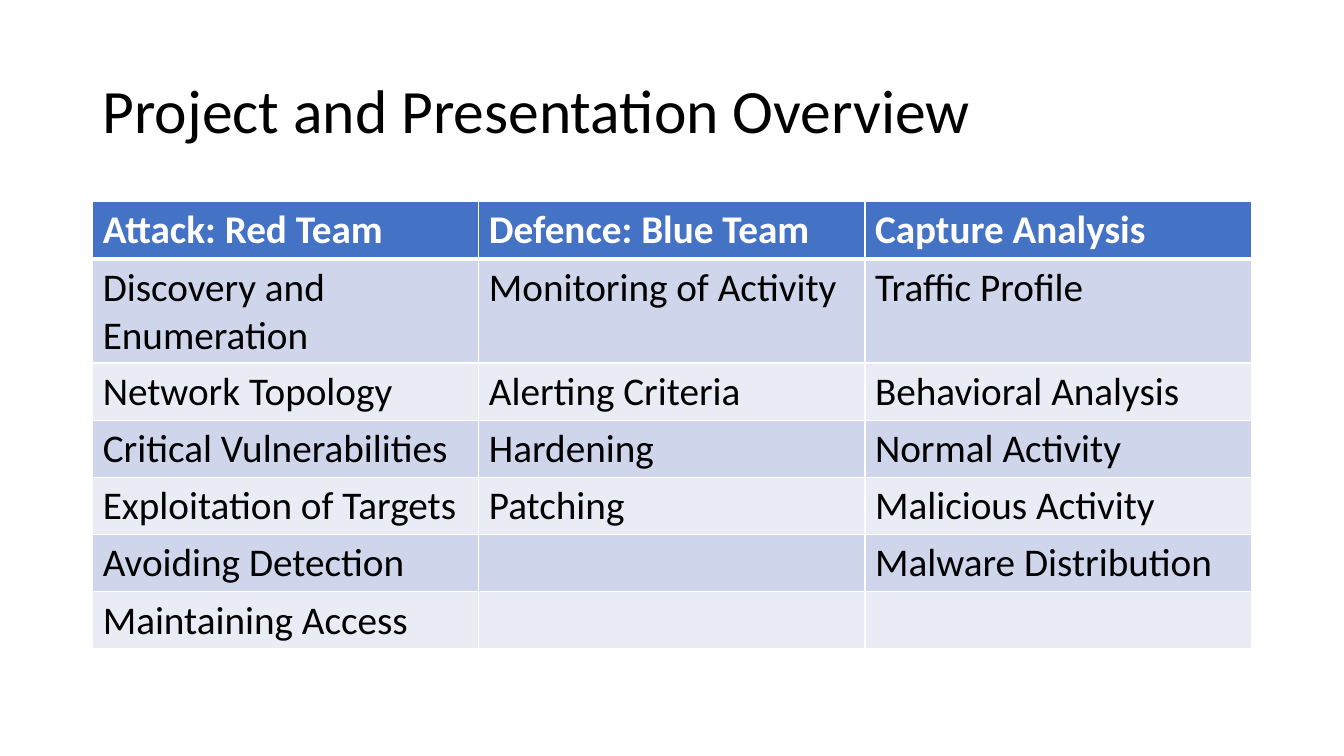
from lxml import etree
from pptx import Presentation
from pptx import util as u
from pptx.dml.color import RGBColor
from pptx.enum import text
from pptx.oxml import ns

THEME = {
    "font": "Calibri",
    "title_size": 44,
    "cell_size": 28,
    "ink": "000000",
    "paper": "FFFFFF",
    "header": "4472C4",
    "bands": ("CFD5EA", "E9EBF5"),
    "rule": 1,
    "header_rule": 3,
}

TOPICS = [
    ("Attack: Red Team", "Defence: Blue Team", "Capture Analysis"),
    ("Discovery and Enumeration", "Monitoring of Activity", "Traffic Profile"),
    ("Network Topology", "Alerting Criteria", "Behavioral Analysis"),
    ("Critical Vulnerabilities", "Hardening", "Normal Activity"),
    ("Exploitation of Targets", "Patching", "Malicious Activity"),
    ("Avoiding Detection", "", "Malware Distribution"),
    ("Maintaining Access", "", ""),
]


def write(frame, words, size, color, bold=False, spacing=None):
    paragraph = frame.paragraphs[0]
    paragraph.line_spacing = spacing
    run = paragraph.add_run()
    run.text = words
    run.font.name = THEME["font"]
    run.font.size = u.Pt(size)
    run.font.bold = bold
    run.font.color.rgb = RGBColor.from_string(color)


def rule(cell, side, points):
    line = etree.SubElement(cell._tc.get_or_add_tcPr(), ns.qn(f"a:ln{side}"), w=str(u.Pt(points)))
    fill = etree.SubElement(line, ns.qn("a:solidFill"))
    etree.SubElement(fill, ns.qn("a:srgbClr"), val=THEME["paper"])


deck = Presentation()
deck.slide_width, deck.slide_height = u.Inches(13.333), u.Inches(7.5)
overview = deck.slides.add_slide(deck.slide_layouts[6])

left = u.Inches(0.92)
width = deck.slide_width - 2 * left

title = overview.shapes.add_textbox(left, u.Inches(0.4), width, u.Inches(1.46)).text_frame
title.word_wrap = True
title.vertical_anchor = text.MSO_ANCHOR.MIDDLE
write(title, "Project and Presentation Overview", THEME["title_size"], THEME["ink"], spacing=0.9)

row_height = u.Inches(0.41)
teams = overview.shapes.add_table(
    len(TOPICS), len(TOPICS[0]), left, u.Inches(2), width, row_height * len(TOPICS)
).table

for r, topics in enumerate(TOPICS):
    is_header = r == 0
    for c, topic in enumerate(topics):
        cell = teams.cell(r, c)
        rule(cell, "L", THEME["rule"])
        rule(cell, "R", THEME["rule"])
        rule(cell, "T", THEME["header_rule" if r == 1 else "rule"])
        rule(cell, "B", THEME["header_rule" if is_header else "rule"])
        cell.fill.solid()
        band = THEME["header"] if is_header else THEME["bands"][(r - 1) % 2]
        cell.fill.fore_color.rgb = RGBColor.from_string(band)
        if topic:
            color = THEME["paper" if is_header else "ink"]
            write(cell.text_frame, topic, THEME["cell_size"], color, bold=is_header)

deck.save("out.pptx")
